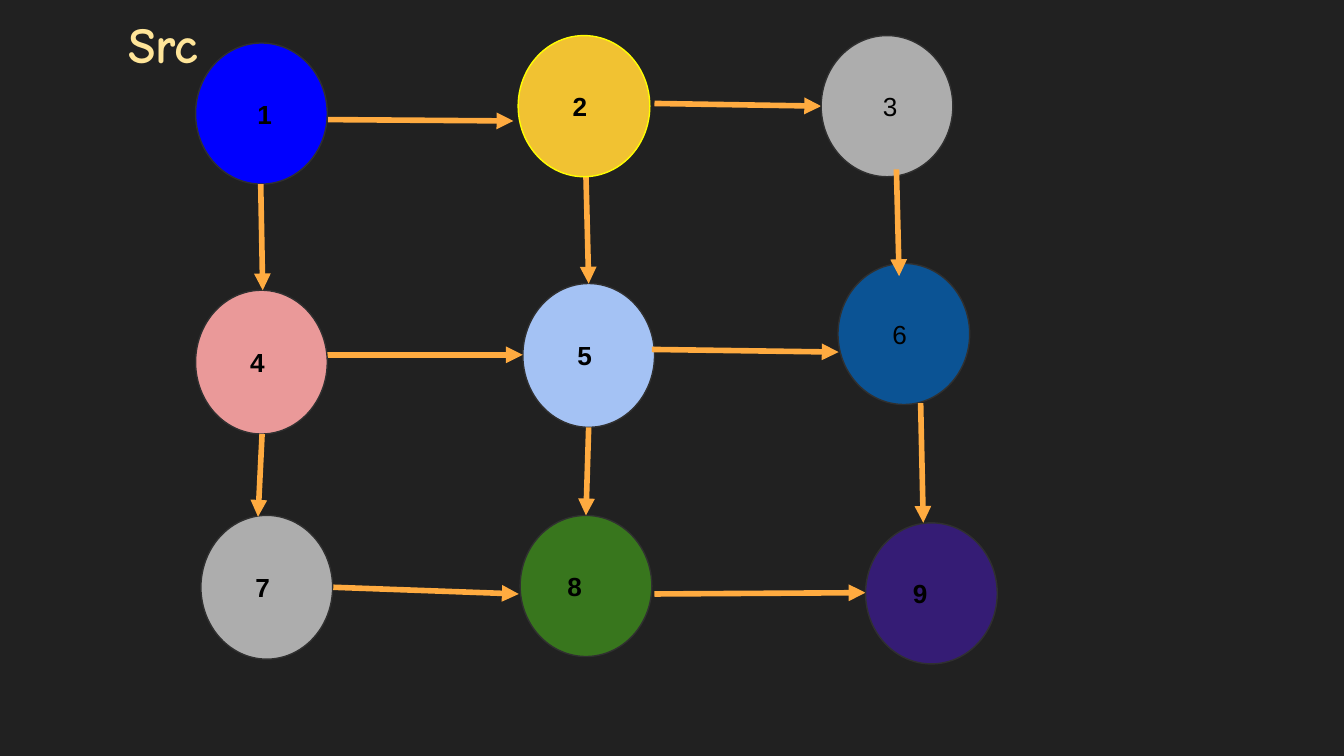
from pptx import Presentation, util as u
from pptx.dml.color import RGBColor
from pptx.enum import shapes, text
from pptx.oxml import parse_xml
from pptx.oxml.ns import nsdecls

WIDE = u.Inches(10)
HIGH = WIDE * 9 // 16
CELL = WIDE / 100
EDGE = "303030"
BASE = [
    ("5", 38.9, 21.1, 10.7, "A4C2F4", EDGE, 3, True),
    ("8", 38.7, 38.35, 10.5, "38761D", EDGE, 2, True),
]
UNDER = [
    (24.4, 8.9, 38.2, 9), (21.8, 26.4, 38.9, 26.4),
    (43.6, 13.1, 43.8, 21.1), (48.7, 7.7, 61.1, 7.9),
    (48.7, 44.2, 64.4, 44.1),
]
NODES = [
    ("2", 38.55, 2.65, 10.5, "F1C232", "FFFF00", 3, True),
    ("3", 61.1, 2.65, 10.5, "ADADAD", EDGE, 4, False),
    ("6", 62.35, 19.6, 10.5, "0B5394", EDGE, 3, False),
    ("9", 64.4, 38.9, 10.5, "351C75", EDGE, 2, True),
    ("1", 14.55, 3.2, 10.5, "0000FF", EDGE, 4, True),
    ("4", 14.55, 21.6, 10.7, "EA9999", EDGE, 3, True),
    ("7", 14.95, 38.35, 10.7, "ADADAD", EDGE, 3, True),
]
OVER = [
    (24.8, 43.7, 38.6, 44.2), (43.8, 31.8, 43.6, 38.35),
    (48.5, 26, 62.4, 26.2), (66.7, 12.6, 66.9, 20.55),
    (68.5, 30, 68.7, 38.9), (19.4, 13.7, 19.55, 21.6),
    (19.5, 32.3, 19.2, 38.45),
]


def grid(*cells):
    return [round(n * CELL) for n in cells]


def color(code):
    return RGBColor.from_string(code)


def write(shape, words, left, font, size, code, bold):
    frame = shape.text_frame
    frame.word_wrap = True
    frame.margin_left, frame.margin_right = grid(left, 1)
    frame.margin_top, frame.margin_bottom = grid(1, 1)
    para = frame.paragraphs[0]
    para.text = words
    para.alignment = text.PP_ALIGN.LEFT
    para.font.name = font
    para.font.size = u.Pt(size)
    para.font.bold = bold
    para.font.color.rgb = color(code)
    return frame


def node(slide, name, x, y, tall, fill, edge, pad, bold):
    disc = slide.shapes.add_shape(
        shapes.MSO_SHAPE.OVAL, *grid(x, y, 9.8, tall))
    disc.shadow.inherit = False
    disc.fill.solid()
    disc.fill.fore_color.rgb = color(fill)
    disc.line.color.rgb = color(edge)
    disc.line.width = u.Pt(0.75)
    frame = write(disc, name, 1 + 0.54 * pad, "Arial", 14, "000000", bold)
    frame.vertical_anchor = text.MSO_ANCHOR.MIDDLE


def arrow(slide, *ends):
    link = slide.shapes.add_connector(
        shapes.MSO_CONNECTOR.STRAIGHT, *grid(*ends))
    link.line.color.rgb = color("FFAB40")
    link.line.width = u.Pt(3)
    link.line._get_or_add_ln().append(
        parse_xml(f'<a:tailEnd {nsdecls("a")} type="triangle"/>'))
    link._element.spPr.append(parse_xml(f'<a:effectLst {nsdecls("a")}/>'))


def label(slide):
    box = slide.shapes.add_textbox(*grid(0, 0, 32.8, 6.6))
    frame = write(box, "Src", 9.55, "Comic Neue", 27, "FFE599", True)
    frame.auto_size = text.MSO_AUTO_SIZE.SHAPE_TO_FIT_TEXT


def main():
    deck = Presentation()
    deck.slide_width, deck.slide_height = WIDE, HIGH
    slide = deck.slides.add_slide(deck.slide_layouts[6])
    slide.background.fill.solid()
    slide.background.fill.fore_color.rgb = color("212121")
    layers = [(node, BASE), (arrow, UNDER), (node, NODES), (arrow, OVER)]
    for draw, items in layers:
        for item in items:
            draw(slide, *item)
    label(slide)
    deck.save("out.pptx")


if __name__ == "__main__":
    main()
